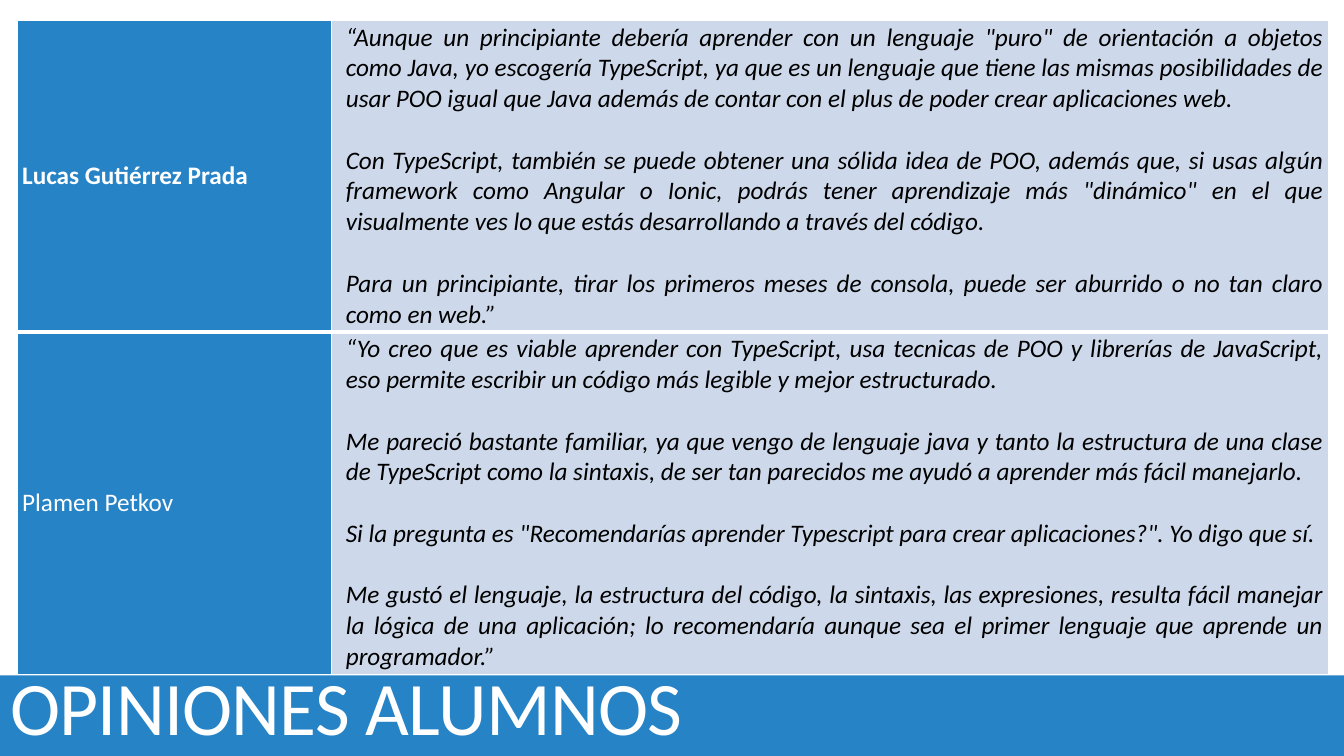
"""Build the student opinions slide: a two-row quote table above a title band."""
from pptx import Presentation
from pptx.dml.color import RGBColor
from pptx.enum.text import MSO_ANCHOR, MSO_AUTO_SIZE, PP_ALIGN
from pptx.oxml.ns import qn
from pptx.util import Inches, Pt
from lxml import etree

LEFT, JUSTIFY = PP_ALIGN.LEFT, PP_ALIGN.JUSTIFY
TOP, MIDDLE, BOTTOM = MSO_ANCHOR.TOP, MSO_ANCHOR.MIDDLE, MSO_ANCHOR.BOTTOM
NO_FIT = MSO_AUTO_SIZE.NONE

TITLE = "OPINIONES ALUMNOS"
OPINIONS = [
    ("Lucas Gutiérrez Prada", True, [
        "“Aunque un principiante debería aprender con un lenguaje \"puro\" de orientación a objetos "
        "como Java, yo escogería TypeScript, ya que es un lenguaje que tiene las mismas posibilidades "
        "de usar POO igual que Java además de contar con el plus de poder crear aplicaciones web.",
        "Con TypeScript, también se puede obtener una sólida idea de POO, además que, si usas algún "
        "framework como Angular o Ionic, podrás tener aprendizaje más \"dinámico\" en el que "
        "visualmente ves lo que estás desarrollando a través del código.",
        "Para un principiante, tirar los primeros meses de consola, puede ser aburrido o no tan claro "
        "como en web.”",
    ]),
    ("Plamen Petkov", False, [
        "“Yo creo que es viable aprender con TypeScript, usa tecnicas de POO y librerías de "
        "JavaScript, eso permite escribir un código más legible y mejor estructurado.",
        "Me pareció bastante familiar, ya que vengo de lenguaje java y tanto la estructura de una "
        "clase de TypeScript como la sintaxis, de ser tan parecidos me ayudó a aprender más fácil "
        "manejarlo.",
        "Si la pregunta es \"Recomendarías aprender Typescript para crear aplicaciones?\". "
        "Yo digo que sí.",
        "Me gustó el lenguaje, la estructura del código, la sintaxis, las expresiones, resulta fácil "
        "manejar la lógica de una aplicación; lo recomendaría aunque sea el primer lenguaje que "
        "aprende un programador.”",
    ]),
]
COLORS = {"blue": "2683C6", "pale": "CDD9EA", "white": "FFFFFF", "black": "000000"}
FONT = "Calibri"
COL_WIDTHS = [3.12, 9.89]
ROW_HEIGHTS = [3.09, 3.4]
BORDERS = [("a:lnL", 1), ("a:lnR", 1), ("a:lnT", 1), ("a:lnB", 1)]
QUOTE_GAP = 22


def rgb(name):
    """Return the named palette colour."""
    return RGBColor.from_string(COLORS[name])


def write(tf, paragraphs, size=18, color="black", bold=False, italic=False,
          align=LEFT, gap=0, indent=0, line=None, tracking=0):
    """Write formatted paragraphs into a text frame."""
    tf.word_wrap = True
    for i, text in enumerate(paragraphs):
        p = tf.add_paragraph() if i else tf.paragraphs[0]
        p.alignment = align
        p.space_before = Pt(gap if i else 0)
        if line:
            p.line_spacing = line
        if indent:
            pPr = p._p.get_or_add_pPr()
            pPr.set("marL", str(Inches(indent)))
            pPr.set("indent", "0")
        r = p.add_run()
        r.text = text
        f = r.font
        f.name, f.size, f.bold, f.italic = FONT, Pt(size), bold, italic
        f.color.rgb = rgb(color)
        if tracking:
            r._r.get_or_add_rPr().set("spc", str(int(tracking * 100)))


def format_cell(cell, fill, anchor, bottom):
    """Set a cell's margins, borders, fill and anchor."""
    cell.margin_left = cell.margin_right = Inches(0.05)
    cell.margin_top = cell.margin_bottom = Inches(0.02)
    cell.vertical_anchor = anchor
    tcPr = cell._tc.get_or_add_tcPr()
    for tag, width in BORDERS:
        ln = etree.SubElement(tcPr, qn(tag), w=str(Pt(bottom if tag == "a:lnB" else width)))
        solid = etree.SubElement(ln, qn("a:solidFill"))
        etree.SubElement(solid, qn("a:srgbClr"), val=COLORS["white"])
    cell.fill.solid()
    cell.fill.fore_color.rgb = rgb(fill)


def add_opinions(s):
    """Add the table of names and quotes."""
    table = s.shapes.add_table(
        len(OPINIONS), len(COL_WIDTHS), Inches(0.17), Inches(0.2),
        Inches(sum(COL_WIDTHS)), Inches(sum(ROW_HEIGHTS))).table
    table.first_row = table.horz_banding = False
    for col, width in zip(table.columns, COL_WIDTHS):
        col.width = Inches(width)
    for i, (name, bold, quotes) in enumerate(OPINIONS):
        table.rows[i].height = Inches(ROW_HEIGHTS[i])
        bottom = 1 if i else 3
        name_cell, quote_cell = table.cell(i, 0), table.cell(i, 1)
        format_cell(name_cell, "blue", MIDDLE, bottom)
        write(name_cell.text_frame, [name], color="white", bold=bold)
        format_cell(quote_cell, "pale", TOP, bottom)
        write(quote_cell.text_frame, quotes, italic=True, align=JUSTIFY,
              gap=QUOTE_GAP, indent=0.09)


def add_title(s):
    """Turn the title placeholder into the band along the bottom."""
    sp = s.shapes.title
    sp.left, sp.top, sp.width, sp.height = (Inches(v) for v in (0, 6.7, 13.33, 0.8))
    sp.fill.solid()
    sp.fill.fore_color.rgb = rgb("blue")
    tf = sp.text_frame
    tf.auto_size = NO_FIT
    tf.vertical_anchor = BOTTOM
    write(tf, [TITLE], size=54, color="white", line=0.85, tracking=-0.5)
    s.shapes._spTree.append(sp._element)


def main():
    """Build and save the deck."""
    prs = Presentation()
    prs.slide_width, prs.slide_height = Inches(13.33), Inches(7.5)
    s = prs.slides.add_slide(prs.slide_layouts[5])
    add_opinions(s)
    add_title(s)
    prs.save("out.pptx")


if __name__ == "__main__":
    main()
